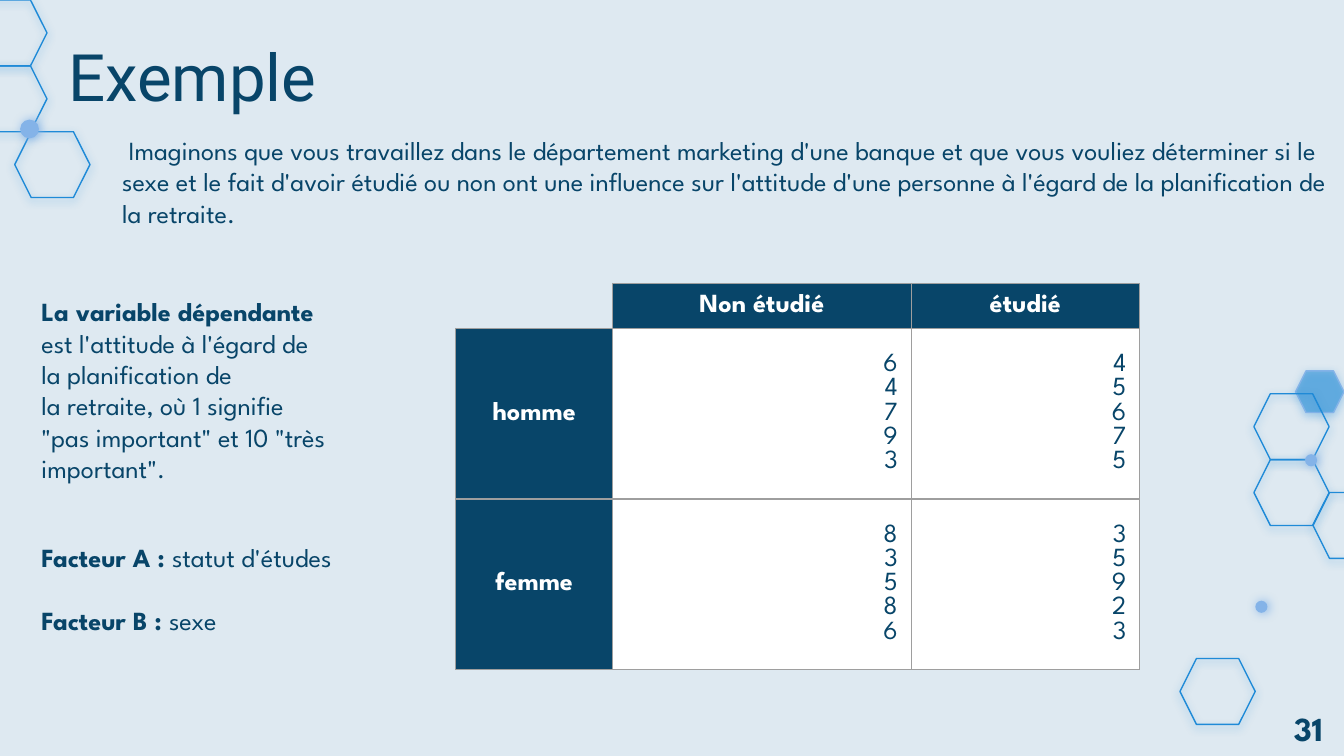
from dataclasses import dataclass

from lxml import etree
from pptx import Presentation
from pptx.dml.color import RGBColor
from pptx.enum.shapes import MSO_SHAPE as Preset
from pptx.enum.text import MSO_ANCHOR as Anchor, PP_ALIGN as Align
from pptx.oxml.ns import qn
from pptx.util import Inches, Pt


@dataclass(frozen=True)
class Theme:
    background: str = "DEE9F1"
    ink: str = "084569"
    white: str = "FFFFFF"
    outline: str = "1F8AD7"
    dot: str = "84B3E8"
    border: str = "9E9E9E"
    font: str = "League Spartan"
    title_font: str = "Roboto"
    title_size: int = 35
    body_size: int = 14
    number_size: int = 18
    line_width: float = 0.75


THEME = Theme()
HEXAGON_SIZE = (0.56, 0.49)
HARD_SPACE = chr(160)  # written as ~ in the texts below


def rgb(value):
    return RGBColor.from_string(value)


def style_font(font, size=THEME.body_size, color=THEME.ink, bold=False, name=THEME.font):
    font.name, font.size, font.bold = name, Pt(size), bold
    font.color.rgb = rgb(color)


def add_glow(shape, color, alpha, blur, distance, angle):
    """Give the shape a soft coloured shadow."""
    shape.shadow.inherit = False
    effects = shape._element.spPr.find(qn("a:effectLst"))
    shadow = etree.SubElement(
        effects, qn("a:outerShdw"), blurRad=str(Pt(blur)), dist=str(Pt(distance)),
        dir=str(angle * 60000), algn="bl", rotWithShape="0")
    tint = etree.SubElement(shadow, qn("a:srgbClr"), val=color)
    etree.SubElement(tint, qn("a:alpha"), val=str(alpha * 1000))


def add_hexagon(slide, left, top, size=HEXAGON_SIZE, line=THEME.outline, fill=None):
    shape = slide.shapes.add_shape(
        Preset.HEXAGON, Inches(left), Inches(top), *map(Inches, size))
    if fill:
        shape.fill.solid()
        shape.fill.fore_color.rgb = rgb(fill)
        color = shape._element.spPr.find(qn("a:solidFill"))[0]
        etree.SubElement(color, qn("a:alpha"), val="53000")
    else:
        shape.fill.background()
    shape.line.color.rgb = rgb(line)
    shape.line.width = Pt(THEME.line_width)
    add_glow(shape, THEME.outline, 50, 4.5, 1.5, 90)


def add_dot(slide, left, top, diameter):
    shape = slide.shapes.add_shape(
        Preset.OVAL, Inches(left), Inches(top), Inches(diameter), Inches(diameter))
    shape.fill.solid()
    shape.fill.fore_color.rgb = rgb(THEME.dot)
    shape.line.fill.background()
    add_glow(shape, THEME.dot, 100, 5.6, 0.8, 11)


def add_left_cluster(slide, left, top):
    height = HEXAGON_SIZE[1]
    for column, row in ((0, 1), (0, 0), (0.32, 2)):
        add_hexagon(slide, left + column, top + row * height)
    add_dot(slide, left + 0.36, top + 0.89, 0.14)


def add_right_cluster(slide, left, top):
    height = HEXAGON_SIZE[1]
    add_hexagon(slide, left, top + height)
    add_hexagon(slide, left + 0.44, top + 1.5 * height)
    add_hexagon(slide, left + 0.31, top - 0.17, (0.36, 0.31), THEME.dot, THEME.outline)
    add_hexagon(slide, left, top)
    add_dot(slide, left + 0.38, top + 0.45, 0.09)
    add_dot(slide, left + 0.01, top + 1.54, 0.09)
    add_hexagon(slide, left - 0.55, top + 1.97)


def add_text(slide, box, paragraphs, size=THEME.body_size, name=THEME.font,
             inset=0.05, gap=0):
    """Each paragraph is a list of (text, bold) runs; gap is the space between."""
    frame = slide.shapes.add_textbox(*map(Inches, box)).text_frame
    frame.word_wrap = True
    frame.margin_top = frame.margin_bottom = Inches(inset)
    for index, runs in enumerate(paragraphs):
        paragraph = frame.add_paragraph() if index else frame.paragraphs[0]
        if index and gap:
            paragraph.space_before = Pt(gap)
        for text, bold in runs:
            run = paragraph.add_run()
            run.text = text.replace("~", HARD_SPACE)
            style_font(run.font, size, bold=bold, name=name)


def set_borders(cell, visible):
    properties = cell._tc.get_or_add_tcPr()
    for side in "LRTB":
        line = etree.SubElement(properties, qn(f"a:ln{side}"), w=str(Pt(THEME.line_width)))
        if side in visible:
            fill = etree.SubElement(line, qn("a:solidFill"))
            etree.SubElement(fill, qn("a:srgbClr"), val=THEME.border)
        else:
            etree.SubElement(line, qn("a:noFill"))


def add_scores_table(slide, box, widths, heights, rows):
    table = slide.shapes.add_table(len(rows), len(widths), *map(Inches, box)).table
    table.first_row = table.horz_banding = False
    for column, width in zip(table.columns, widths):
        column.width = Inches(width)
    for row, height in zip(table.rows, heights):
        row.height = Inches(height)
    for r, values in enumerate(rows):
        for c, value in enumerate(values):
            cell = table.cell(r, c)
            if r == c == 0:  # empty corner, kept from stretching its row
                set_borders(cell, "")
                cell.fill.background()
                cell.margin_top = cell.margin_bottom = 0
                continue
            heading = r == 0 or c == 0
            set_borders(cell, "LRTB")
            cell.fill.solid()
            cell.fill.fore_color.rgb = rgb(THEME.ink if heading else THEME.white)
            cell.vertical_anchor = Anchor.MIDDLE
            cell.text_frame.text = value if heading else "\n".join(map(str, value))
            for paragraph in cell.text_frame.paragraphs:
                paragraph.alignment = Align.CENTER if heading else Align.RIGHT
                style_font(paragraph.runs[0].font, bold=heading,
                           color=THEME.white if heading else THEME.ink)


def build_example_slide(presentation):
    slide = presentation.slides.add_slide(presentation.slide_layouts[6])
    slide.background.fill.solid()
    slide.background.fill.fore_color.rgb = rgb(THEME.background)

    # Hexagon decoration
    add_right_cluster(slide, 9.33, 2.93)
    add_left_cluster(slide, -0.21, 0)

    # Title and introduction
    add_text(slide, (0.41, 0.17, 8.43, 0.63), [[("Exemple", False)]],
             THEME.title_size, THEME.title_font, inset=0.1)
    add_text(slide, (0.81, 0.95, 9.19, 1.04), [[(
        "~Imaginons que vous travaillez dans le département marketing d'une banque "
        "et que vous vouliez déterminer si le sexe et le fait d'avoir étudié ou non "
        "ont une influence sur l'attitude d'une personne à l'égard de la "
        "planification de la retraite.", False)]])

    # Scores by sex and study status
    add_scores_table(
        slide, (3.39, 2.11, 5.09, 2.87), (1.17, 2.22, 1.7), (0.33, 1.27, 1.27),
        [("", "Non étudié", "étudié"),
         ("homme", (6, 4, 7, 9, 3), (4, 5, 6, 7, 5)),
         ("femme", (8, 3, 5, 8, 6), (3, 5, 9, 2, 3))])

    # Factors and dependent variable
    add_text(slide, (0.21, 3.98, 2.63, 0.81),
             [[("Facteur~A :~", True), ("statut~d'études", False)],
              [("Facteur~B :~", True), ("sexe", False)]],
             gap=16.8)
    add_text(slide, (0.21, 2.15, 2.49, 1.51),
             [[("La variable~dépendante", True)],
              [("est~l'attitude~à~l'égard~de la~planification de "
                "la~retraite,~où~1~signifie", False)],
              [("\"pas important\" et 10~\"très important\".", False)]])

    # Slide number
    add_text(slide, (9.53, 5.22, 0.63, 0.4), [[("31", True)]], THEME.number_size)


def main():
    presentation = Presentation()
    presentation.slide_width = Inches(10)
    presentation.slide_height = presentation.slide_width * 9 // 16
    build_example_slide(presentation)
    presentation.save("out.pptx")


if __name__ == "__main__":
    main()
